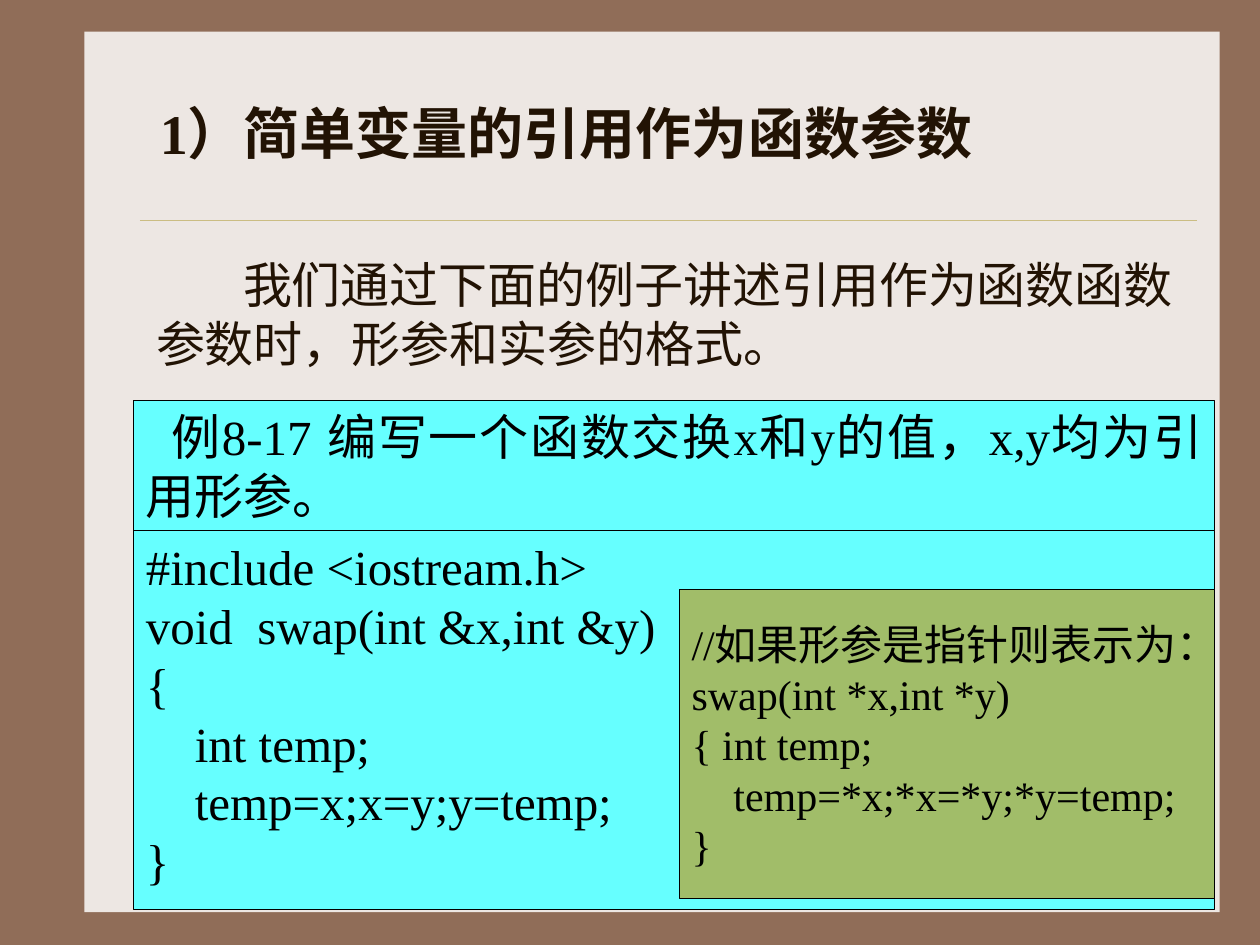
from pptx import Presentation
from pptx.dml.color import RGBColor
from pptx.enum.shapes import MSO_CONNECTOR, MSO_SHAPE
from pptx.enum.text import MSO_ANCHOR, PP_ALIGN
from pptx.oxml.ns import qn
from pptx.util import Inches, Pt
from lxml import etree

FONT = "Times New Roman"
BROWN, BLACK, CYAN, GREEN = "221304", "000000", "66FFFF", "A1BD69"

EXAMPLE_CODE = """#include <iostream.h>
void  swap(int &x,int &y)
{
    int temp;
    temp=x;x=y;y=temp;
}"""

POINTER_CODE = """//如果形参是指针则表示为：
swap(int *x,int *y)
{ int temp;
    temp=*x;*x=*y;*y=temp;
}"""


def rgb(value):
    return RGBColor.from_string(value)


def write(frame, text, size, color, bold=False, anchor=MSO_ANCHOR.TOP,
          align=PP_ALIGN.LEFT, first_indent=0, wrap=True):
    frame.text = text
    frame.word_wrap = wrap
    frame.vertical_anchor = anchor
    for paragraph in frame.paragraphs:
        paragraph.alignment = align
        if first_indent:
            properties = paragraph._p.get_or_add_pPr()
            properties.set("marL", "0")
            properties.set("indent", str(Inches(first_indent)))
        for run in paragraph.runs:
            run.font.name = FONT
            run.font.size = Pt(size)
            run.font.bold = bold
            run.font.color.rgb = rgb(color)


def add_panel(slide, left, top, width, height, fill, line=None):
    panel = slide.shapes.add_shape(MSO_SHAPE.RECTANGLE, Inches(left),
                                   Inches(top), Inches(width), Inches(height))
    panel.shadow.inherit = False
    panel.fill.solid()
    panel.fill.fore_color.rgb = rgb(fill)
    if line:
        panel.line.color.rgb = rgb(line)
        panel.line.width = Pt(0.75)
    else:
        panel.line.fill.background()
    return panel.text_frame


def add_text(slide, left, top, width, height, *args, **style):
    box = slide.shapes.add_textbox(Inches(left), Inches(top),
                                   Inches(width), Inches(height))
    write(box.text_frame, *args, anchor=MSO_ANCHOR.MIDDLE, **style)


def add_page(slide, left, top, width, height):
    # Brown border, pale page and the rule under the title
    slide.background.fill.solid()
    slide.background.fill.fore_color.rgb = rgb("906D58")
    add_panel(slide, left, top, width, height, "EDE7E3")
    rule = slide.shapes.add_connector(
        MSO_CONNECTOR.STRAIGHT, Inches(left + 0.44), Inches(top + 1.5),
        Inches(left + width - 0.18), Inches(top + 1.5))
    rule.line.color.rgb = rgb("CBBD83")
    rule.line.width = Pt(0.25)
    etree.SubElement(rule._element.spPr, qn("a:effectLst"))


def add_heading(slide, left, top, width):
    # Title and introduction
    add_text(slide, left + 0.03, top, width - 0.02, 1.25,
             "1）简单变量的引用作为函数参数", 32, BROWN, bold=True)
    add_text(slide, left, top + 1.6, width, 0.94,
             "我们通过下面的例子讲述引用作为函数函数参数时，形参和实参的格式。",
             28, BROWN, first_indent=0.69)


def add_example(slide, left, top, width, height):
    # Task above its code, with the pointer version at the lower right
    task_height = 1.03
    task = add_panel(slide, left, top, width, task_height, CYAN, BLACK)
    write(task, "例8-17 编写一个函数交换x和y的值，x,y均为引用形参。", 28, BLACK,
          align=PP_ALIGN.JUSTIFY, first_indent=0.2)
    code = add_panel(slide, left, top + task_height, width,
                     height - task_height, CYAN, BLACK)
    write(code, EXAMPLE_CODE, 28, BLACK)
    pointer_width = 4.25
    pointer = add_panel(slide, left + width - pointer_width, top + 1.5,
                        pointer_width, 2.45, GREEN, BLACK)
    write(pointer, POINTER_CODE, 24, BLACK, anchor=MSO_ANCHOR.MIDDLE,
          wrap=False)


def main():
    deck = Presentation()
    deck.slide_width, deck.slide_height = Inches(10), Inches(7.5)
    slide = deck.slides.add_slide(deck.slide_layouts[6])
    add_page(slide, 0.67, 0.25, 9.01, 6.99)
    add_heading(slide, 1.14, 0.42, 8.35)
    add_example(slide, 1.06, 3.18, 8.58, 4.04)
    deck.save("out.pptx")


if __name__ == "__main__":
    main()
